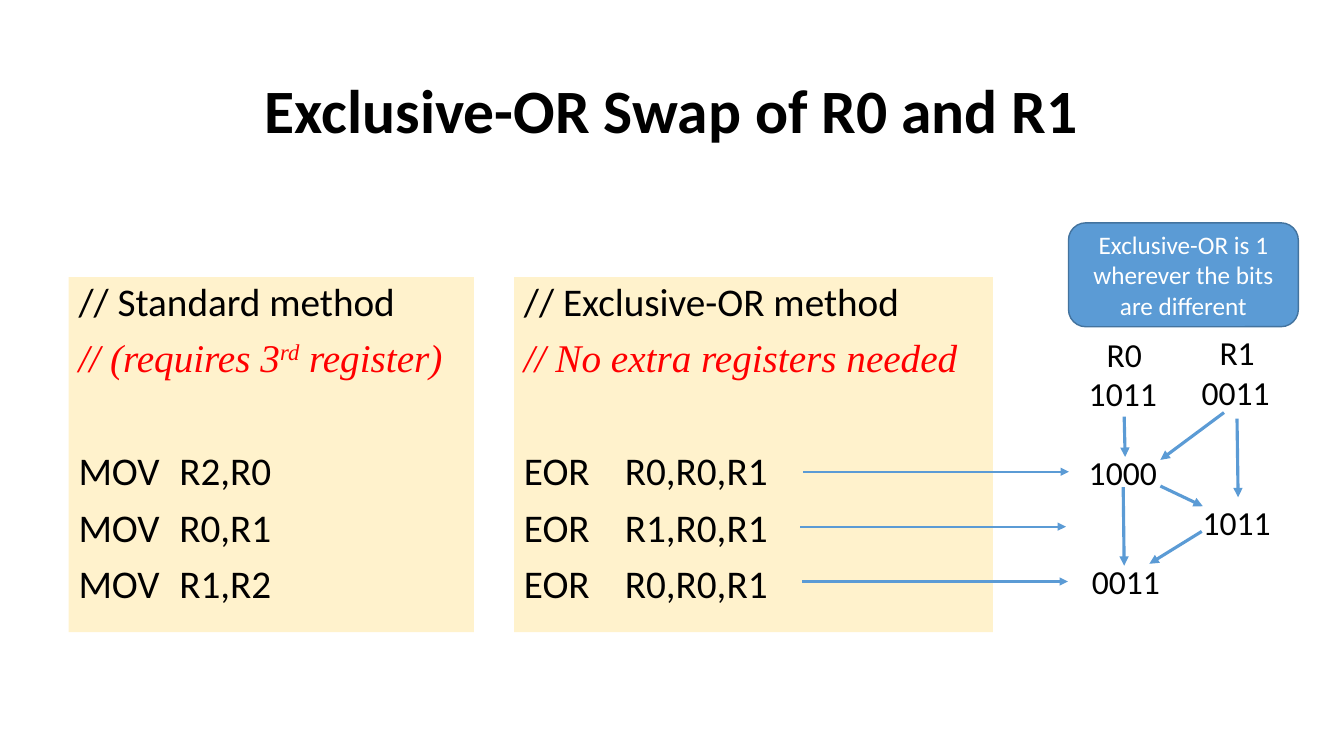
from lxml.etree import SubElement
from pptx import Presentation
from pptx.dml.color import RGBColor
from pptx.enum.shapes import MSO_CONNECTOR as CONN, MSO_SHAPE as SHAPE
from pptx.enum.text import MSO_ANCHOR as ANCHOR, PP_ALIGN as ALIGN
from pptx.oxml.ns import qn
from pptx.util import Pt

BLACK = RGBColor(0x00, 0x00, 0x00)
WHITE = RGBColor(0xFF, 0xFF, 0xFF)
RED = RGBColor(0xFF, 0x00, 0x00)
CREAM = RGBColor(0xFF, 0xF2, 0xCC)
BLUE = RGBColor(0x5B, 0x9B, 0xD5)
DARK_BLUE = RGBColor(0x43, 0x73, 0x9E)
SANS, SERIF = "Calibri", "Times New Roman"
LINE_STEP = 39.2


def add_run(p, text, size=28, color=BLACK, font=SANS, bold=False,
            italic=False, raised=False):
    """Add one formatted run to a paragraph."""
    r = p.add_run()
    r.text = text
    f = r.font
    f.size, f.name, f.bold, f.italic = Pt(size), font, bold, italic
    f.color.rgb = color
    if raised:
        r._r.get_or_add_rPr().set("baseline", "30000")


def add_label(s, box, text, align=ALIGN.LEFT, anchor=ANCHOR.TOP, wrap=False,
              spacing=1.0, **fmt):
    """Place a one-paragraph text box."""
    tf = s.shapes.add_textbox(*map(Pt, box)).text_frame
    tf.word_wrap, tf.vertical_anchor = wrap, anchor
    p = tf.paragraphs[0]
    p.alignment, p.line_spacing = align, spacing
    add_run(p, text, **fmt)


def add_block(s, shape, box, fill, line=None):
    """Place a flat filled shape and return its text frame."""
    sp = s.shapes.add_shape(shape, *map(Pt, box))
    sp.shadow.inherit = False
    sp.fill.solid()
    sp.fill.fore_color.rgb = fill
    if line is None:
        sp.line.fill.background()
    else:
        sp.line.color.rgb, sp.line.width = line, Pt(1)
    sp.text_frame.word_wrap = True
    return sp.text_frame


def add_arrow(s, x1, y1, x2, y2, width):
    """Draw a straight arrow pointing at the second point."""
    c = s.shapes.add_connector(CONN.STRAIGHT, *map(Pt, (x1, y1, x2, y2)))
    c.line.color.rgb, c.line.width = BLUE, Pt(width)
    SubElement(c.line._get_or_add_ln(), qn("a:tailEnd"), type="triangle")
    SubElement(c._element.spPr, qn("a:effectLst"))


def add_code(s, box, heading, remark, code):
    """Fill a panel with a heading, a red remark and code lines."""
    tf = add_block(s, SHAPE.RECTANGLE, box, CREAM)
    tf.vertical_anchor = ANCHOR.TOP
    lines = [[(heading, {})],
             [(text, dict(color=RED, font=SERIF, italic=True, raised=raised))
              for text, raised in remark]]
    lines += [[(text, {})] for text in code]
    for i, runs in enumerate(lines):
        p = tf.paragraphs[0] if i == 0 else tf.add_paragraph()
        p.alignment, p.line_spacing = ALIGN.LEFT, 0.9
        p.space_before = Pt(50.7 if i == 2 else 10)
        for text, fmt in runs:
            add_run(p, text, **fmt)


def add_step_arrows(s, box):
    """Link each code line to its step in the bit diagram."""
    x, y, w = box
    for i, shift in enumerate((0.7, -1.4, 0)):
        row = y + i * LINE_STEP
        add_arrow(s, x + shift, row, x + shift + w, row, 1.5)


def add_bit_diagram(s, box):
    """Draw the callout and the register values with their data flow."""
    x, y, w, h = box
    tf = add_block(s, SHAPE.ROUNDED_RECTANGLE, (x, y, w, h), BLUE, DARK_BLUE)
    tf.vertical_anchor = ANCHOR.MIDDLE
    p = tf.paragraphs[0]
    p.alignment = ALIGN.CENTER
    add_run(p, "Exclusive-OR is 1 wherever the bits are different",
            size=18, color=WHITE)

    labels = [("R0", 7.4, 75.7, ALIGN.CENTER), ("R1", 88, 74.3, ALIGN.CENTER),
              ("1011", 7.4, 103.8, ALIGN.LEFT), ("0011", 88, 103.1, ALIGN.LEFT),
              ("1000", 7.4, 160, ALIGN.LEFT), ("1011", 88.8, 196, ALIGN.LEFT),
              ("0011", 9.6, 237.7, ALIGN.LEFT)]
    for text, dx, dy, align in labels:
        add_label(s, (x + dx, y + dy, 65, 36), text, align, size=24)

    flows = [(39.8, 138.4, 40.5, 167.2), (111.1, 135.5, 65.7, 169.3),
             (65.7, 188, 96, 202.4), (120.4, 139.8, 121.2, 196),
             (95.2, 220.4, 57.8, 243.5), (39.1, 188.8, 39.8, 244.9)]
    for x1, y1, x2, y2 in flows:
        add_arrow(s, x + x1, y + y1, x + x2, y + y2, 2.25)


def build_slide(prs):
    """Build the register swap slide."""
    s = prs.slides.add_slide(prs.slide_layouts[6])
    add_label(s, (66, 28.8, 828, 104.4), "Exclusive-OR Swap of R0 and R1",
              ALIGN.CENTER, ANCHOR.MIDDLE, wrap=True, spacing=0.9,
              size=44, bold=True)
    add_code(s, (49, 198, 289.5, 253.5), "// Standard method",
             [("// (requires 3", False), ("rd", True), (" register)", False)],
             ["MOV\tR2,R0", "MOV\tR0,R1", "MOV\tR1,R2"])
    add_code(s, (367.2, 198, 342, 253.5), "// Exclusive-OR method",
             [("// No extra registers needed", False)],
             ["EOR\tR0,R0,R1", "EOR\tR1,R0,R1", "EOR\tR0,R0,R1"])
    add_step_arrows(s, (573.1, 337, 189.7))
    add_bit_diagram(s, (763.2, 159.2, 164.2, 74.2))


prs = Presentation()
prs.slide_width, prs.slide_height = Pt(960), Pt(540)
build_slide(prs)
prs.save("out.pptx")
